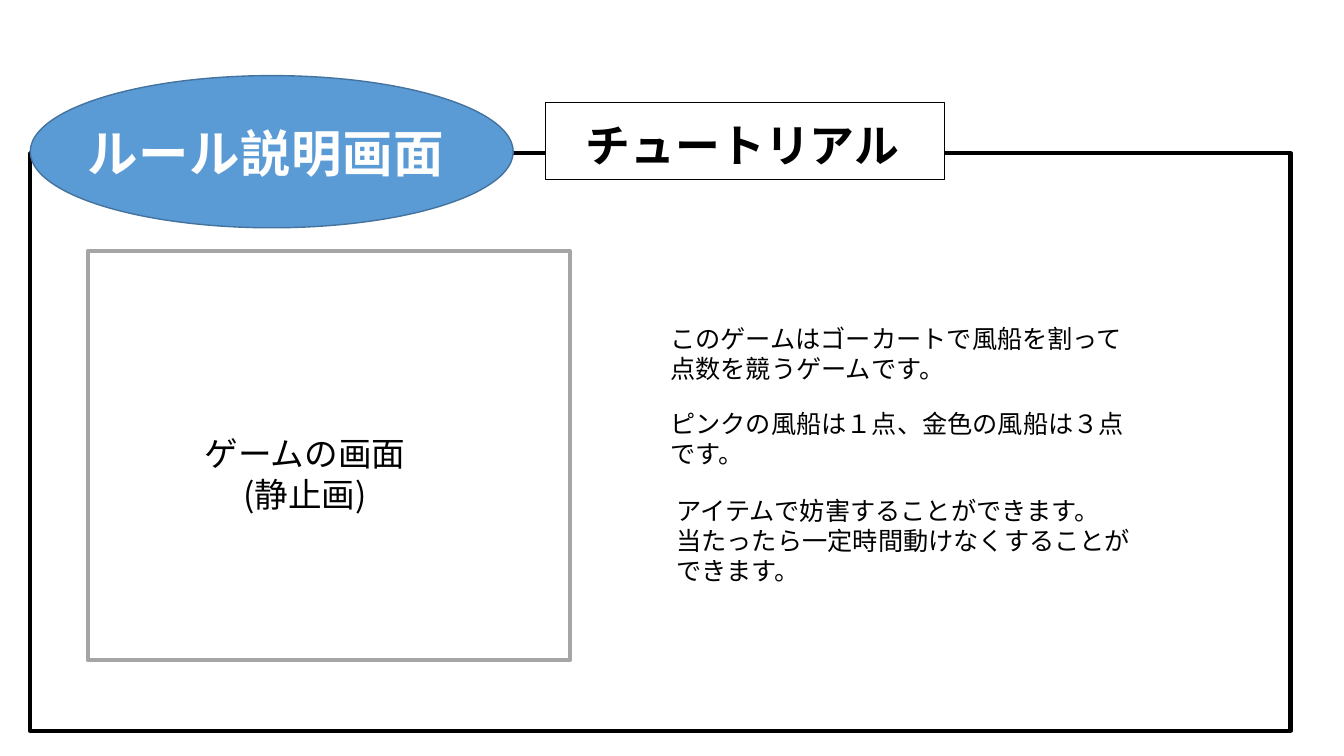
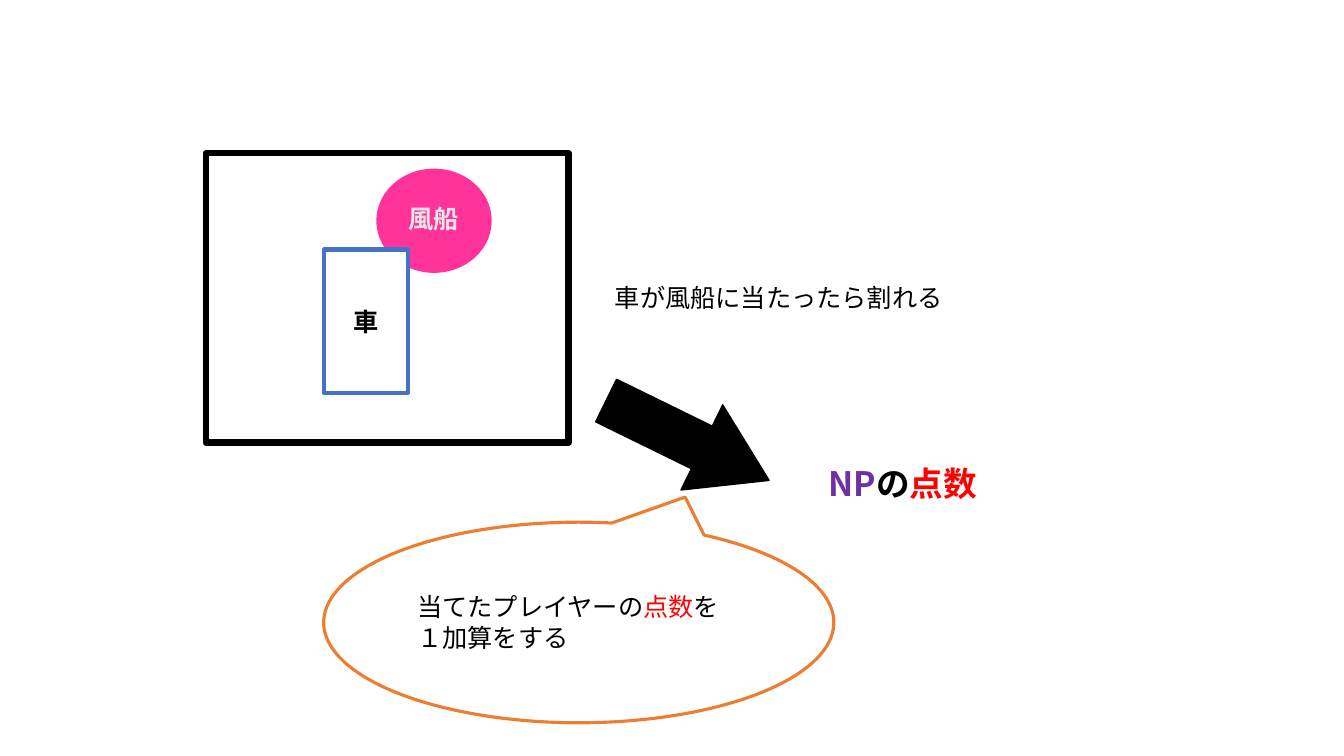
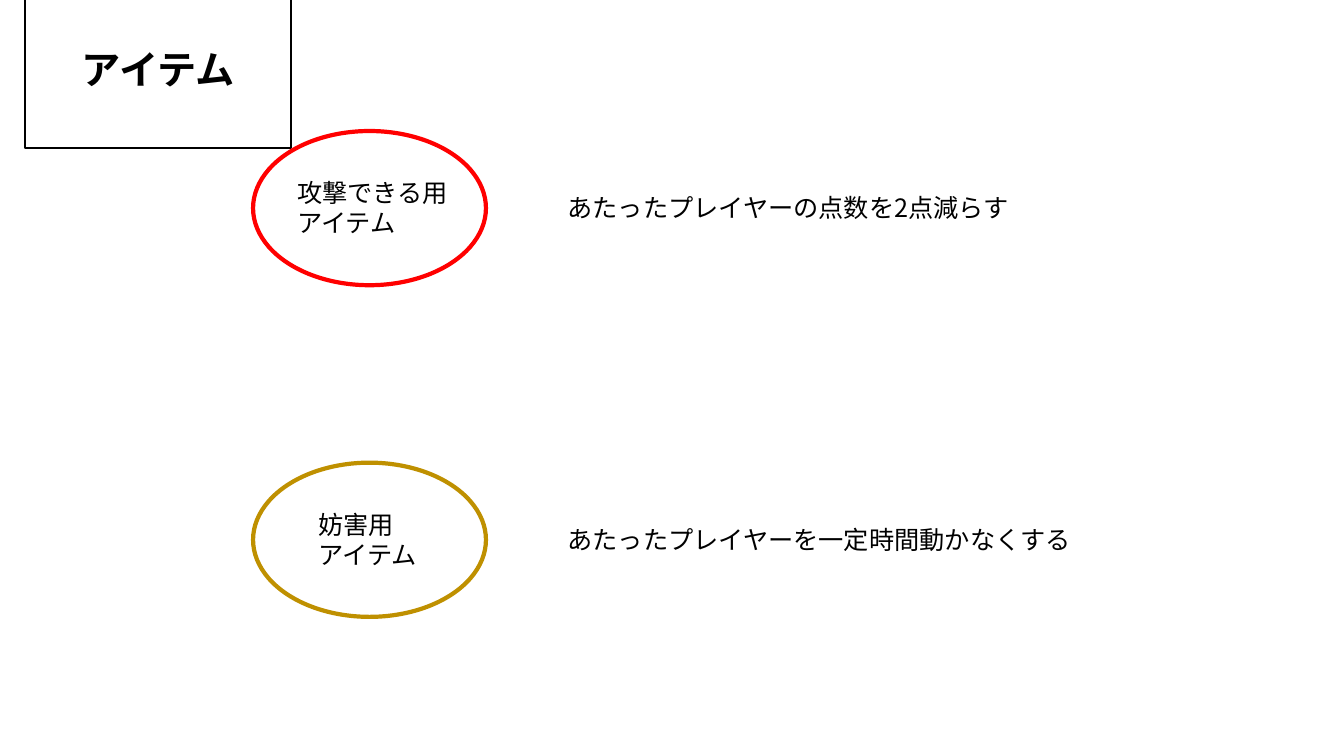
import pptx
import pptx.util
import pptx.dml.color
import pptx.enum.shapes
import pptx.enum.text
import pptx.oxml.ns
import lxml.etree

FONT = "Noto Sans CJK JP"
C = dict(black="000000", white="FFFFFF", offwhite="FEFEFE", blue="5B9BD5", navy="43739E",
         gray="A5A5A5", lightgray="E7E6E6", pink="FF3399", carblue="4472C4",
         purple="7030A0", red="FF0000", orange="ED7D31", gold="BF9000")
SHAPE = pptx.enum.shapes.MSO_SHAPE
ALIGN = pptx.enum.text.PP_ALIGN
ANCHOR = pptx.enum.text.MSO_ANCHOR
TITLE_ONLY, BLANK = 5, 6

TUTORIAL_TITLE = [["チュートリアル"]]
RULE_HEADING = [["ルール説明画面"]]
GAME_SCREEN = [["ゲームの画面", "\n", "(静止画)"]]
RULES = [
    ((6.55, 3.16, 4.75, 0.71), [["このゲームはゴーカートで風船を割って点数を競うゲームです。"]]),
    ((6.55, 4, 4.8, 0.71), [["ピンクの風船は１点、金色の風船は３点"], ["です。"]]),
    ((6.61, 4.86, 4.75, 1.01),
     [["アイテムで妨害することができます。"], ["当たったら一定時間動けなくすることができます。"]]),
]
HIT_RULE = [["車が風船に当たったら割れる"]]
SCORE = [[("NP", "purple"), "の", ("点数", "red")]]
CALLOUT = [["当てたプレイヤーの", ("点数", "red"), "を"], ["１加算をする"]]
ITEM_TITLE = [["アイテム"]]
ITEMS = [
    ("red", 2.85, 1.81, [["攻撃できる用アイテム"]],
     4.97, [["あたったプレイヤーの点数を2点減らす"]]),
    ("gold", 3.06, 1.2, [["妨害用"], ["アイテム"]],
     5.21, [["あたったプレイヤーを一定時間動かなくする"]]),
]
ITEM_TOP, ITEM_STEP = 1.3, 3.29


def rgb(name):
    return pptx.dml.color.RGBColor.from_string(C[name])


def place(sp, box):
    for key, value in zip(("left", "top", "width", "height"), box):
        setattr(sp, key, pptx.util.Inches(value))


def paint(sp, fill, line, weight):
    if fill:
        sp.fill.solid()
        sp.fill.fore_color.rgb = rgb(fill)
    else:
        sp.fill.background()
    sp.line.color.rgb = rgb(line)
    sp.line.width = pptx.util.Pt(weight)


def add_shape(slide, kind, box, fill, line, weight, rotation=0):
    sp = slide.shapes.add_shape(kind, *map(pptx.util.Inches, box))
    sp.shadow.inherit = False
    sp.rotation = rotation
    paint(sp, fill, line, weight)
    return sp


def write(sp, paragraphs, size=18, color="black", bold=False, align=ALIGN.LEFT,
          wrap=True, anchor=ANCHOR.TOP, spacing=None):
    tf = sp.text_frame
    frame = dict(word_wrap=wrap, vertical_anchor=anchor,
                 auto_size=pptx.enum.text.MSO_AUTO_SIZE.SHAPE_TO_FIT_TEXT)
    for key, value in frame.items():
        setattr(tf, key, value)
    for i, runs in enumerate(paragraphs):
        p = tf.add_paragraph() if i else tf.paragraphs[0]
        p.alignment = align
        for run in runs:
            if run == "\n":
                p.add_line_break()
                continue
            text, tint = (run, color) if isinstance(run, str) else run
            r = p.add_run()
            r.text = text
            for key, value in dict(name=FONT, size=pptx.util.Pt(size), bold=bold).items():
                setattr(r.font, key, value)
            r.font.color.rgb = rgb(tint)
            rPr = r._r.get_or_add_rPr()
            lxml.etree.SubElement(rPr, pptx.oxml.ns.qn("a:ea")).set("typeface", FONT)
            if spacing:
                rPr.set("spc", str(int(spacing * 100)))


def add_text(slide, box, paragraphs, **style):
    sp = slide.shapes.add_textbox(*map(pptx.util.Inches, box))
    write(sp, paragraphs, **style)


def add_title(slide, box, paragraphs, **style):
    sp = slide.shapes.title
    write(sp, paragraphs, bold=True, **style)
    place(sp, box)
    slide.shapes._spTree.append(sp._element)
    return sp


prs = pptx.Presentation()
prs.slide_width = pptx.util.Inches(13.33)
prs.slide_height = pptx.util.Inches(7.5)

s = prs.slides.add_slide(prs.slide_layouts[TITLE_ONLY])
add_shape(s, SHAPE.RECTANGLE, (0.3, 1.52, 12.5, 5.73), None, "black", 3)
add_shape(s, SHAPE.RECTANGLE, (5.41, 1.02, 3.96, 0.76), "white", "black", 1)
add_title(s, (5.71, 1.12, 3.34, 0.64), TUTORIAL_TITLE, size=32, wrap=False)
add_shape(s, SHAPE.OVAL, (0.3, 0.75, 4.79, 1.51), "blue", "navy", 1)
add_text(s, (0.77, 1.16, 3.92, 0.71), RULE_HEADING, size=36, color="offwhite", bold=True, spacing=0.5)
add_shape(s, SHAPE.RECTANGLE, (0.87, 2.49, 4.78, 4.06), None, "gray", 3)
add_text(s, (1.52, 4.25, 3.01, 0.91), GAME_SCREEN, size=24, align=ALIGN.CENTER)
for box, rule in RULES:
    add_text(s, box, rule)

s = prs.slides.add_slide(prs.slide_layouts[BLANK])
add_shape(s, SHAPE.FLOWCHART_PROCESS, (2.04, 1.52, 3.6, 2.87), None, "black", 4.5)
add_shape(s, SHAPE.OVAL, (3.74, 1.68, 1.13, 1.02), "pink", "pink", 1)
add_text(s, (3.86, 1.97, 0.88, 0.4), [["風船"]], color="lightgray", bold=True, align=ALIGN.CENTER)
add_shape(s, SHAPE.RECTANGLE, (2.92, 2.77, 1.42, 0.83), "white", "carblue", 3, rotation=270)
add_text(s, (3.31, 2.99, 0.64, 0.4), [["車"]], bold=True, align=ALIGN.CENTER)
add_text(s, (6, 2.75, 4.25, 0.4), HIT_RULE)
add_text(s, (8.12, 4.54, 1.79, 0.5), SCORE, size=24, bold=True)
arrow = add_shape(s, SHAPE.RIGHT_ARROW, (5.92, 3.9, 1.8, 0.94), "black", "black", 1, rotation=26.1)
arrow.adjustments[1] = 0.79
add_shape(s, SHAPE.OVAL_CALLOUT, (3.21, 5.18, 5.06, 1.99), None, "orange", 2.25, rotation=180)
add_text(s, (4.04, 5.82, 3.24, 0.71), CALLOUT)

s = prs.slides.add_slide(prs.slide_layouts[TITLE_ONLY])
title = add_title(s, (0.25, 0.4, 2.64, 0.57), ITEM_TITLE, size=28,
                  align=ALIGN.CENTER, anchor=ANCHOR.MIDDLE)
paint(title, "white", "black", 1.5)
for i, (color, label_left, label_width, label, effect_width, effect) in enumerate(ITEMS):
    top = ITEM_TOP + i * ITEM_STEP
    add_shape(s, SHAPE.OVAL, (2.51, top, 2.31, 1.53), None, color, 3)
    add_text(s, (label_left, top + 0.41, label_width, 0.71), label)
    add_text(s, (5.53, top + 0.56, effect_width, 0.4), effect)

prs.save("out.pptx")
